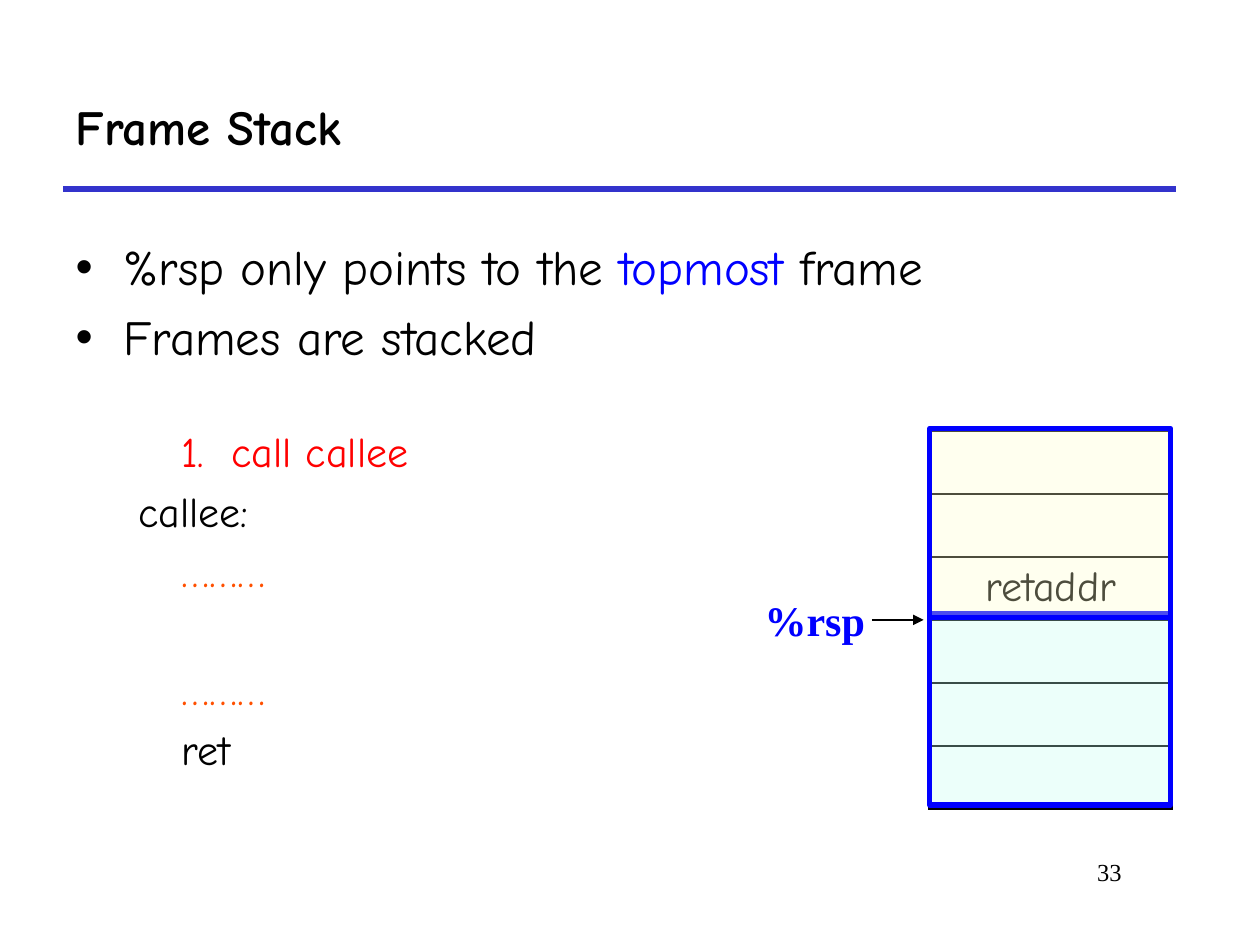
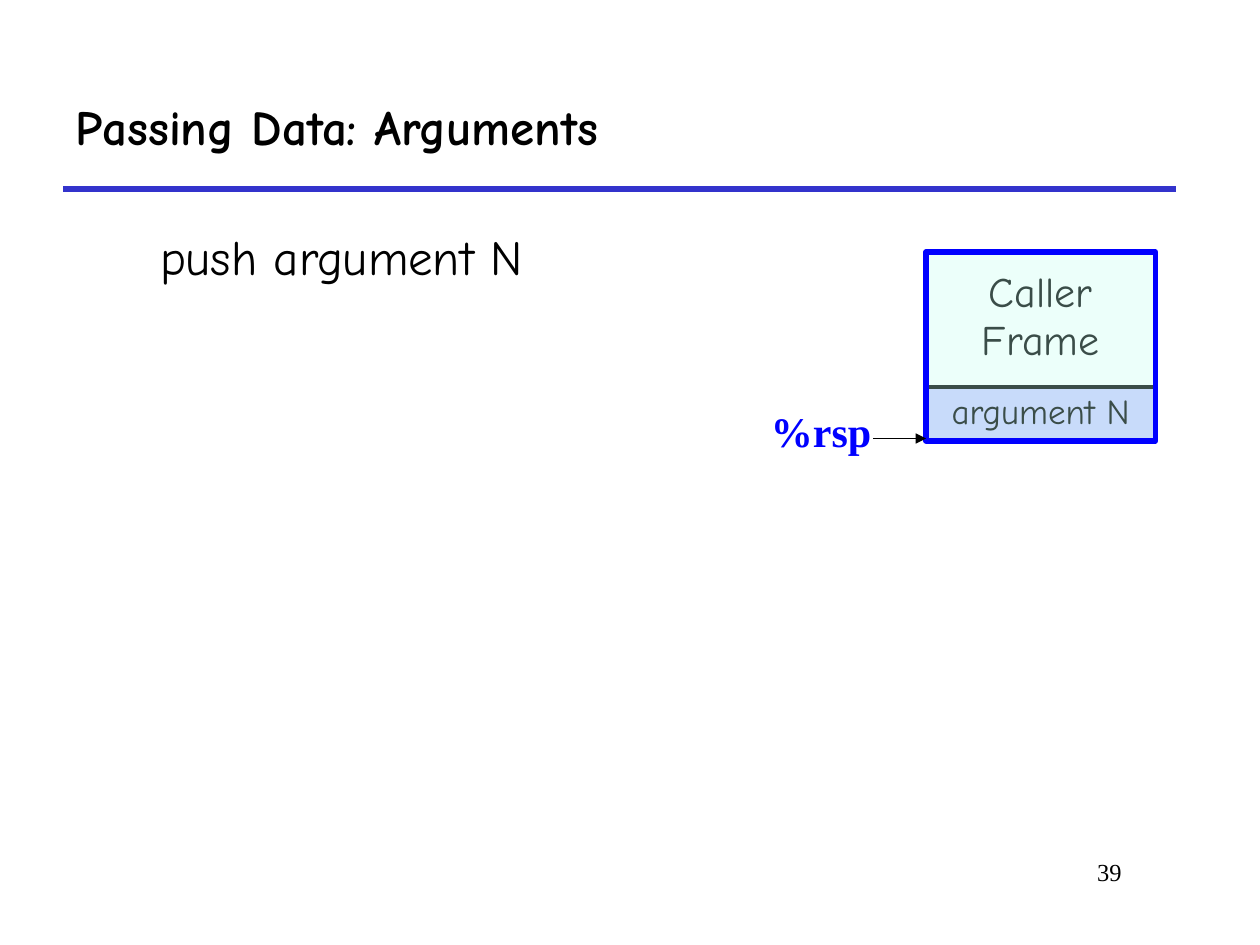
import dataclasses

import pptx
import pptx.dml.color
import pptx.enum.shapes
import pptx.enum.text
import pptx.oxml
import pptx.oxml.ns
import pptx.util

Pt = pptx.util.Pt
ALIGN = pptx.enum.text.PP_ALIGN
ANCHOR = pptx.enum.text.MSO_ANCHOR


@dataclasses.dataclass(frozen=True)
class Theme:
    hand: str = "Comic Neue"
    serif: str = "Times New Roman"
    ink: str = "000000"
    rule: str = "3333CC"
    accent: str = "0000FF"
    call: str = "FF0000"
    elided: str = "FF5000"
    paper: str = "FFFFFF"
    caller: str = "C2FFF0"
    callee: str = "FFFFCC"
    argument: str = "CCCCFF"
    heading: int = 28
    code: int = 24
    cell: int = 20
    number: int = 14
    tint: int = 30


THEME = Theme()
HEADING = {"name": THEME.hand, "size": Pt(THEME.heading), "bold": True}
BODY = {"name": THEME.hand, "size": Pt(THEME.heading)}
CODE = {"name": THEME.hand, "size": Pt(THEME.code)}
CELL = {"name": THEME.hand, "size": Pt(THEME.cell)}
REGISTER = {"name": THEME.serif, "size": Pt(THEME.code), "bold": True}
NUMBER = {"name": THEME.serif, "size": Pt(THEME.number)}

# Slide grid: 120 columns by 90 rows of a twelfth of an inch
COLUMNS, ROWS = 120, 90
MARGIN = 6
RULE_ROW = 18


def grid(*units):
    return [pptx.util.Inches(round(unit / 12, 2)) for unit in units]


def rgb(color):
    return pptx.dml.color.RGBColor.from_string(color)


def xml(tag, content="", **attributes):
    listed = " ".join(f'{key}="{value}"' for key, value in attributes.items())
    return pptx.oxml.parse_xml(
        f'<a:{tag} {pptx.oxml.ns.nsdecls("a")} {listed}>{content}</a:{tag}>')


# Text
def write(paragraph, runs, style, align=ALIGN.LEFT, before=0):
    """Write (words, colour) runs; before is the space above in points."""
    for attribute, value in {"alignment": align, "space_before": Pt(before)}.items():
        setattr(paragraph, attribute, value)
    for words, color in runs:
        run = paragraph.add_run()
        run.text = words
        for attribute, value in style.items():
            setattr(run.font, attribute, value)
        run.font.color.rgb = rgb(color)


def indent(paragraph, left=0, first=0, bullet=None):
    properties = paragraph._p.get_or_add_pPr()
    for key, inches in {"marL": left, "indent": first}.items():
        properties.set(key, str(pptx.util.Inches(inches)))
    properties.append(xml("buChar", char=bullet) if bullet else xml("buNone"))


def paragraphs(frame, count):
    return [frame.paragraphs[0]] + [frame.add_paragraph() for _ in range(count - 1)]


def text_box(slide, place, wrap=True):
    frame = slide.shapes.add_textbox(*grid(*place)).text_frame
    frame.word_wrap = wrap
    return frame


def fill_placeholder(holder, place, anchor):
    for side, length in zip(("left", "top", "width", "height"), grid(*place)):
        setattr(holder, side, length)
    frame = holder.text_frame
    frame.auto_size = pptx.enum.text.MSO_AUTO_SIZE.NONE
    frame.vertical_anchor = anchor
    return frame


def body_list(slide, place, items, bullet=None):
    frame = fill_placeholder(slide.placeholders[1], place, ANCHOR.TOP)
    for index, (paragraph, runs) in enumerate(zip(paragraphs(frame, len(items)), items)):
        indent(paragraph, *((0.38, -0.38, bullet) if bullet else ()))
        write(paragraph, runs, BODY, before=6.4 if index else 0)


# Lines, tables and stack frames
def line(slide, start, end, color, width, arrow=False):
    connector = slide.shapes.add_connector(
        pptx.enum.shapes.MSO_CONNECTOR.STRAIGHT, *grid(*start, *end))
    connector.line.color.rgb = rgb(color)
    connector.line.width = Pt(width)
    if arrow:
        connector.line._get_or_add_ln().append(xml("tailEnd", type="triangle"))
    connector._element.spPr.append(xml("effectLst"))


def border(cell, sides, ends):
    ink = f'<a:solidFill><a:srgbClr val="{THEME.ink}"/></a:solidFill>'
    properties = cell._tc.get_or_add_tcPr()
    for index, (tag, width) in enumerate(
            zip(("lnL", "lnR", "lnT", "lnB"), (sides, sides, ends, ends))):
        properties.insert(index, xml(tag, ink, w=Pt(width)))


def slot_table(slide, place, slots, fill=None, sides=2.25, ends=2.25):
    """One-column table; returns its cells from top to bottom."""
    table = slide.shapes.add_table(slots, 1, *grid(*place)).table
    table.first_row = table.horz_banding = False
    cells = [row.cells[0] for row in table.rows]
    for cell in cells:
        if fill:
            cell.fill.solid()
            cell.fill.fore_color.rgb = rgb(fill)
        else:
            cell.fill.background()
        border(cell, sides, ends)
    return cells


def tinted_frame(slide, place, color):
    frame = slide.shapes.add_shape(pptx.enum.shapes.MSO_SHAPE.RECTANGLE, *grid(*place))
    frame.shadow.inherit = False
    frame.fill.solid()
    frame.fill.fore_color.rgb = rgb(color)
    frame.fill._xPr.find(".//" + pptx.oxml.ns.qn("a:srgbClr")).append(
        xml("alpha", val=THEME.tint * 1000))
    frame.line.color.rgb = rgb(THEME.accent)
    frame.line.width = Pt(3)


def stack_pointer(slide, label, start, end, width):
    frame = text_box(slide, (*label, 12.1, 6.1), wrap=False)
    write(frame.paragraphs[0], [("%rsp", THEME.accent)], REGISTER)
    line(slide, start, end, THEME.ink, width, arrow=True)


# What every slide shares
def new_slide(deck, title, number):
    slide = deck.slides.add_slide(deck.slide_layouts[1])
    heading = fill_placeholder(slide.shapes.title, (MARGIN, 6, 106, 12), ANCHOR.MIDDLE)
    write(heading.paragraphs[0], [(title, THEME.ink)], HEADING)
    line(slide, (MARGIN, RULE_ROW), (MARGIN + 106, RULE_ROW), THEME.rule, 3)
    page = text_box(slide, (91, 81, 17, 6))
    write(page.paragraphs[0], [(number, THEME.ink)], NUMBER, ALIGN.RIGHT)
    return slide


def code_listing(slide, place):
    line_gap, skipped_line = 5.5, 38.6
    outer, inner, numbered = (0.5, 0), (0.84, 0), (1.24, -0.4)
    listing = [
        ("1.\tcall callee", THEME.call, numbered, 0),
        ("callee:", THEME.ink, outer, line_gap),
        ("………", THEME.elided, inner, line_gap),
        ("………", THEME.elided, inner, skipped_line),
        ("ret", THEME.ink, inner, line_gap),
    ]
    frame = text_box(slide, place)
    for paragraph, (words, color, margins, before) in zip(
            paragraphs(frame, len(listing)), listing):
        indent(paragraph, *margins)
        write(paragraph, [(words, color)], CODE, before=before)


def frame_stack(deck):
    slide = new_slide(deck, "Frame Stack", "33")
    body_list(slide, (MARGIN, 22, 100, 14), [
        [("%rsp only points to the ", THEME.ink), ("topmost ", THEME.accent),
         ("frame", THEME.ink)],
        [("Frames are stacked", THEME.ink)],
    ], bullet="•")
    code_listing(slide, (MARGIN, 40, 60, 41))

    left, top, slots, slot_height = 88.5, 41, 6, 6
    cells = slot_table(slide, (left, top, 23, slots * slot_height), slots,
                       THEME.paper, ends=1)
    write(cells[2].text_frame.paragraphs[0], [("retaddr", THEME.ink)], CODE, ALIGN.CENTER)
    half = slots * slot_height / 2
    tinted_frame(slide, (left, top + half - 0.6, 22.9, half + 0.2), THEME.caller)
    tinted_frame(slide, (left, top - 0.2, 22.9, half), THEME.callee)
    stack_pointer(slide, (71.6, 56), (83, top + half), (88, top + half), 1.5)


def passing_arguments(deck):
    slide = new_slide(deck, "Passing Data: Arguments", "39")
    body_list(slide, (14, 21, 102, 58), [[("push argument N", THEME.ink)]])

    left, top, width, height, argument_height = 88.2, 24, 21.8, 18, 5.2
    bottom = top + height
    argument = slot_table(slide, (left, bottom - argument_height, width, argument_height),
                          1, THEME.argument)[0]
    write(argument.text_frame.paragraphs[0], [("argument N", THEME.ink)],
          CELL, ALIGN.CENTER)
    caller = slot_table(slide, (left, top, width, height), 1)[0]
    caller.margin_top = pptx.util.Inches(0.14)
    name = caller.text_frame.paragraphs[0]
    write(name, [("Caller", THEME.ink)], CODE, ALIGN.CENTER)
    name.add_line_break()
    write(name, [("Frame", THEME.ink)], CODE, ALIGN.CENTER)
    tinted_frame(slide, (left, top, width, height), THEME.caller)
    stack_pointer(slide, (72.2, 38), (83.2, bottom - 0.3), (left, bottom - 0.3), 0.75)


def main():
    deck = pptx.Presentation()
    deck.slide_width, deck.slide_height = grid(COLUMNS, ROWS)
    frame_stack(deck)
    passing_arguments(deck)
    deck.save("out.pptx")


if __name__ == "__main__":
    main()
